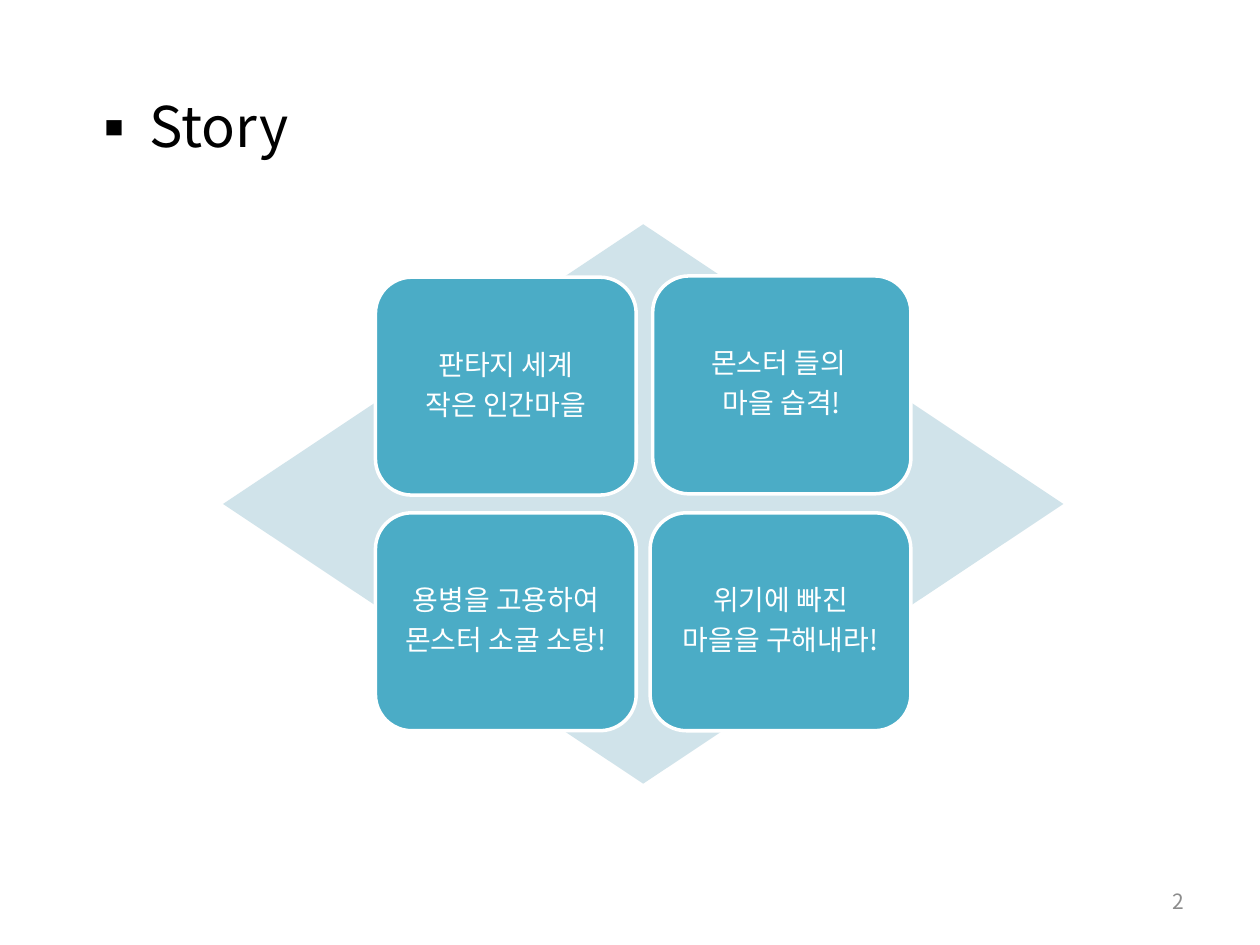
from lxml.etree import SubElement
from pptx import Presentation
from pptx.dml.color import RGBColor
from pptx.enum.shapes import MSO_SHAPE as Shape
from pptx.enum.text import MSO_ANCHOR as Anchor, PP_ALIGN as Align
from pptx.oxml.ns import qn
from pptx.util import Inches, Pt

# Content
TITLE = "Story"
PAGE_NUMBER = "2"
# Lines of each card, then its offset from the grid: left, top, width
CARDS = [
    (("판타지 세계", "작은 인간마을"), (0, 0, 0)),
    (("몬스터 들의 ", "마을 습격!"), (0.02, -0.01, -0.02)),
    (("용병을 고용하여", "몬스터 소굴 소탕!"), (0, 0, 0)),
    (("위기에 빠진", "마을을 구해내라!"), (0, 0, 0)),
]

# Theme
THEME = {
    "font": "Noto Sans CJK KR",
    "ink": "000000", "paper": "FFFFFF", "muted": "8C8C8C",
    "diamond": "D0E3EA", "card": "4BACC6",
    "title_size": 32, "card_size": 16, "number_size": 12,
}

# Layout in inches
SLIDE = (10, 7.5)
TITLE_AREA = (0.59, 0.68, 3.78, 0.64)
DIAMOND_AREA = (1.77, 1.78, 6.67, 4.44)
NUMBER_AREA = (7.17, 6.95, 2.33, 0.4)
COLUMNS = 2
GRID_LEFT, GRID_TOP = 2.98, 2.2
CARD_WIDTH, CARD_HEIGHT = 2.07, 1.73
COLUMN_GAP, ROW_GAP = 0.11, 0.14
CARD_INSET = 0.15


def color(name):
    return RGBColor.from_string(THEME[name])


def set_all(target, values):
    for name, value in values.items():
        setattr(target, name, value)


def write(box, lines, size, ink, frame_format=None, para_format=None):
    frame = box.text_frame
    set_all(frame, {"word_wrap": True, **(frame_format or {})})
    for index, line in enumerate(lines):
        para = frame.paragraphs[0] if index == 0 else frame.add_paragraph()
        set_all(para, para_format or {})
        span = para.add_run()
        span.text = line
        set_all(span.font, {"name": THEME["font"], "size": Pt(THEME[size])})
        span.font.color.rgb = color(ink)
        SubElement(span.font._element, qn("a:ea"), typeface=THEME["font"])
    return frame


def add_filled(page, kind, area, fill):
    shape = page.shapes.add_shape(kind, *map(Inches, area))
    shape.shadow.inherit = False
    shape.fill.solid()
    shape.fill.fore_color.rgb = color(fill)
    shape.line.fill.background()
    return shape


def add_card(page, index, lines, offset):
    row, column = divmod(index, COLUMNS)
    shift_x, shift_y, extra_width = offset
    area = (GRID_LEFT + column * (CARD_WIDTH + COLUMN_GAP) + shift_x,
            GRID_TOP + row * (CARD_HEIGHT + ROW_GAP) + shift_y,
            CARD_WIDTH + extra_width, CARD_HEIGHT)
    card = add_filled(page, Shape.ROUNDED_RECTANGLE, area, "card")
    card.line.color.rgb = color("paper")
    card.line.width = Pt(2)
    margins = {f"margin_{side}": Inches(CARD_INSET)
               for side in ("left", "top", "right", "bottom")}
    write(card, lines, "card_size", "paper",
          {"vertical_anchor": Anchor.MIDDLE, **margins},
          {"alignment": Align.CENTER, "line_spacing": 0.9,
           "space_after": Pt(0.35 * THEME["card_size"])})


def main():
    deck = Presentation()
    deck.slide_width, deck.slide_height = map(Inches, SLIDE)
    page = deck.slides.add_slide(deck.slide_layouts[6])

    # Title with a square bullet
    title = page.shapes.add_textbox(*map(Inches, TITLE_AREA))
    frame = write(title, [TITLE], "title_size", "ink")
    props = frame.paragraphs[0]._p.get_or_add_pPr()
    props.set("marL", str(Inches(0.5)))
    props.set("indent", str(-Inches(0.5)))
    SubElement(props, qn("a:buFont"), typeface=THEME["font"])
    SubElement(props, qn("a:buChar"), char="▪")

    # Diamond with the story cards on top
    add_filled(page, Shape.DIAMOND, DIAMOND_AREA, "diamond")
    for index, (lines, offset) in enumerate(CARDS):
        add_card(page, index, lines, offset)

    # Page number
    number = page.shapes.add_textbox(*map(Inches, NUMBER_AREA))
    write(number, [PAGE_NUMBER], "number_size", "muted",
          {"vertical_anchor": Anchor.MIDDLE}, {"alignment": Align.RIGHT})

    deck.save("out.pptx")


if __name__ == "__main__":
    main()
